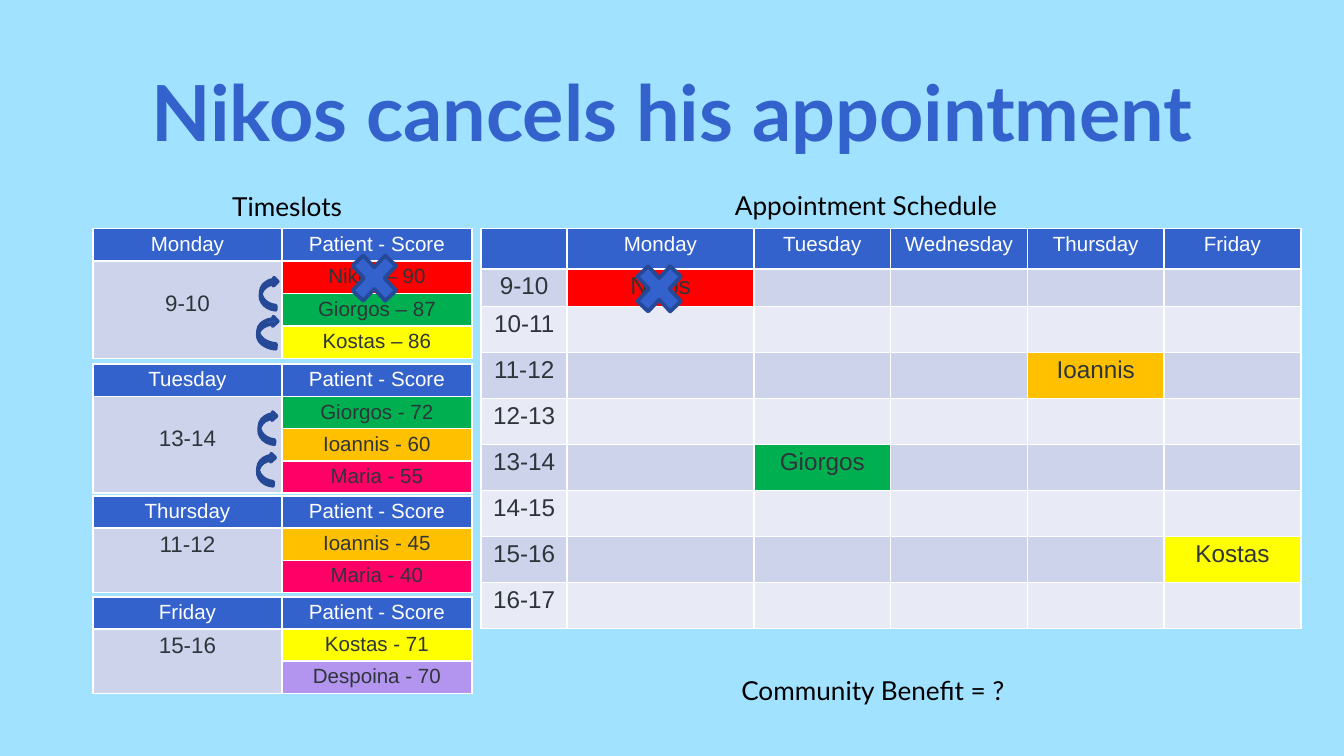
from typing import NamedTuple

from pptx import Presentation
from pptx.dml.color import RGBColor
from pptx.enum.shapes import MSO_SHAPE as Shape
from pptx.enum.text import MSO_ANCHOR as Anchor, PP_ALIGN as Align
from pptx.oxml.xmlchemy import OxmlElement
from pptx.util import Inches, Pt

COLORS = {
    "sky": "A0E2FF", "blue": "3362CC", "navy": "264997", "white": "FFFFFF",
    "black": "000000", "text": "2E353A", "band": "CED3EC", "pale": "E8EAF6",
    "Nikos": "FF0000", "Giorgos": "00B050", "Kostas": "FFFF00",
    "Ioannis": "FFC000", "Maria": "FF0066", "Despoina": "B395EF",
}


class Timeslot(NamedTuple):
    day: str
    hours: str
    top: float
    height: float
    patients: list[str]


class Label(NamedTuple):
    text: str
    left: float
    top: float
    width: float
    height: float
    size: float = 14
    color: str = "black"
    bold: bool = False
    align: Align = Align.LEFT


class Mark(NamedTuple):
    kind: Shape
    left: float
    top: float
    width: float
    height: float
    rotation: float = 0


TIMESLOTS = [
    Timeslot("Monday", "9-10", 1.7, 0.97, ["Nikos – 90", "Giorgos – 87", "Kostas – 86"]),
    Timeslot("Tuesday", "13-14", 2.71, 0.96, ["Giorgos - 72", "Ioannis - 60", "Maria - 55"]),
    Timeslot("Thursday", "11-12", 3.69, 0.72, ["Ioannis - 45", "Maria - 40"]),
    Timeslot("Friday", "15-16", 4.44, 0.72, ["Kostas - 71", "Despoina - 70"]),
]
DAYS = ["Monday", "Tuesday", "Wednesday", "Thursday", "Friday"]
APPOINTMENTS = {
    ("9-10", "Monday"): "Nikos", ("11-12", "Thursday"): "Ioannis",
    ("13-14", "Tuesday"): "Giorgos", ("15-16", "Friday"): "Kostas",
}
LABELS = [
    Label("Nikos cancels his appointment", 0.69, 0.38, 8.62, 0.82, 41.4, "blue", True, Align.CENTER),
    Label("Timeslots", 1.63, 1.37, 1.1, 0.34),
    Label("Appointment Schedule", 5.37, 1.36, 2.24, 0.34),
    Label("Community Benefit = ?", 3.7, 4.97, 5.59, 0.34, align=Align.CENTER),
]
CROSSES = [(2.55, 1.82), (4.67, 1.9)]
ARROWS = [(1.94, 2.06, 0.12), (1.92, 2.35, 0.14), (1.93, 3.06, 0.12), (1.92, 3.37, 0.12)]
MARKS = [Mark(Shape.MATH_MULTIPLY, x, y, 0.47, 0.5) for x, y in CROSSES]
MARKS += [Mark(Shape.CURVED_LEFT_ARROW, x, y, w, 0.24, 184.3) for x, y, w in ARROWS]


def rgb(name: str) -> RGBColor:
    """Return the named colour."""
    return RGBColor.from_string(COLORS[name])


def set_borders(cell) -> None:
    """Outline a cell in white."""
    tc_pr = cell._tc.get_or_add_tcPr()
    for i, side in enumerate(("lnL", "lnR", "lnT", "lnB")):
        ln = OxmlElement(f"a:{side}")
        ln.set("w", str(Pt(1)))
        fill = OxmlElement("a:solidFill")
        color = OxmlElement("a:srgbClr")
        color.set("val", COLORS["white"])
        fill.append(color)
        ln.append(fill)
        tc_pr.insert(i, ln)


def style_cell(cell, text: str, size: int, fill: str, color: str = "text") -> None:
    """Fill one cell and format its text."""
    cell.fill.solid()
    cell.fill.fore_color.rgb = rgb(fill)
    cell.margin_left = cell.margin_right = Inches(0.07)
    cell.margin_top = cell.margin_bottom = Inches(0.03)
    set_borders(cell)
    cell.text_frame.text = text
    p = cell.text_frame.paragraphs[0]
    p.alignment = Align.CENTER
    p._p.get_or_add_endParaRPr().set("sz", str(size * 100))
    for r in p.runs:
        r.font.size = Pt(size)
        r.font.name = "Arial"
        r.font.color.rgb = rgb(color)


def add_grid(s, left: float, top: float, widths: list[float], heights: list[float]):
    """Add a plain table with the given column widths and row heights."""
    table = s.shapes.add_table(
        len(heights), len(widths), Inches(left), Inches(top),
        Inches(sum(widths)), Inches(sum(heights))).table
    table.first_row = table.horz_banding = False
    for column, width in zip(table.columns, widths):
        column.width = Inches(width)
    for row, height in zip(table.rows, heights):
        row.height = Inches(height)
    return table


def add_timeslot(s, slot: Timeslot) -> None:
    """Add the ranked patients of one timeslot."""
    count = len(slot.patients)
    rows = count + 1
    table = add_grid(s, 0.69, slot.top, [1.41] * 2, [slot.height / rows] * rows)
    for col, text in enumerate((slot.day, "Patient - Score")):
        style_cell(table.cell(0, col), text, 11, "blue", "white")
    for row, patient in enumerate(slot.patients, 1):
        style_cell(table.cell(row, 0), slot.hours if row == 1 else "", 12, "band")
        style_cell(table.cell(row, 1), patient, 11, patient.split()[0])
    hours = table.cell(1, 0)
    hours.merge(table.cell(count, 0))
    if count > 2:
        hours.vertical_anchor = Anchor.MIDDLE
        hours.margin_bottom = Inches(0.12)


def add_schedule(s) -> None:
    """Add the weekly appointment table."""
    widths = [0.64, 1.39] + [4.07 / 4] * 4
    table = add_grid(s, 3.58, 1.7, widths, [0.3, 0.27] + [2.4 / 7] * 7)
    for col, day in enumerate([""] + DAYS):
        style_cell(table.cell(0, col), day, 11, "blue", "white")
    for row, hour in enumerate(range(9, 17), 1):
        hours = f"{hour}-{hour + 1}"
        band = "band" if row % 2 else "pale"
        style_cell(table.cell(row, 0), hours, 13, band)
        for col, day in enumerate(DAYS, 1):
            patient = APPOINTMENTS.get((hours, day), "")
            style_cell(table.cell(row, col), patient, 13, patient or band)


def add_label(s, label: Label) -> None:
    """Add one line of text."""
    sp = s.shapes.add_textbox(*map(Inches, label[1:5]))
    tf = sp.text_frame
    tf.word_wrap = True
    if label.bold:
        tf.margin_top = tf.margin_bottom = Inches(0.1)
    tf.text = label.text
    p = tf.paragraphs[0]
    p.alignment = label.align
    r = p.runs[0]
    r.font.name = "Lato"
    r.font.size = Pt(label.size)
    r.font.bold = label.bold
    r.font.color.rgb = rgb(label.color)


def add_mark(s, mark: Mark) -> None:
    """Add a cross or a curved arrow."""
    sp = s.shapes.add_shape(mark.kind, *map(Inches, mark[1:5]))
    sp.rotation = mark.rotation
    sp.shadow.inherit = False
    sp.fill.solid()
    sp.fill.fore_color.rgb = rgb("blue")
    sp.line.color.rgb = rgb("navy")
    sp.line.width = Pt(2)


def main() -> None:
    """Build the slide and save it."""
    prs = Presentation()
    prs.slide_width, prs.slide_height = Inches(10), Inches(10 * 9 / 16)
    s = prs.slides.add_slide(prs.slide_layouts[6])
    s.background.fill.solid()
    s.background.fill.fore_color.rgb = rgb("sky")
    for slot in TIMESLOTS:
        add_timeslot(s, slot)
    add_schedule(s)
    for label in LABELS:
        add_label(s, label)
    for mark in MARKS:
        add_mark(s, mark)
    prs.save("out.pptx")


if __name__ == "__main__":
    main()
